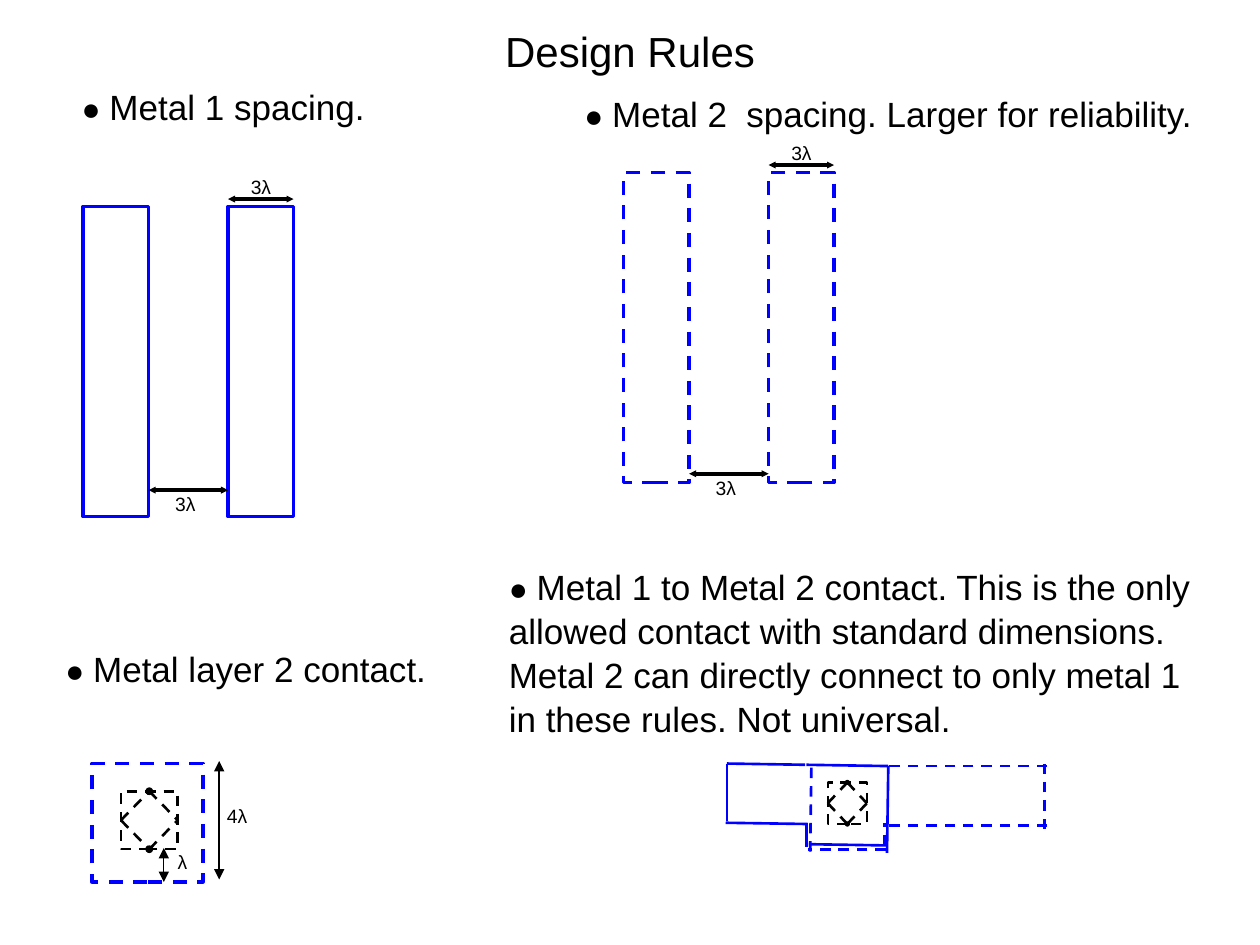
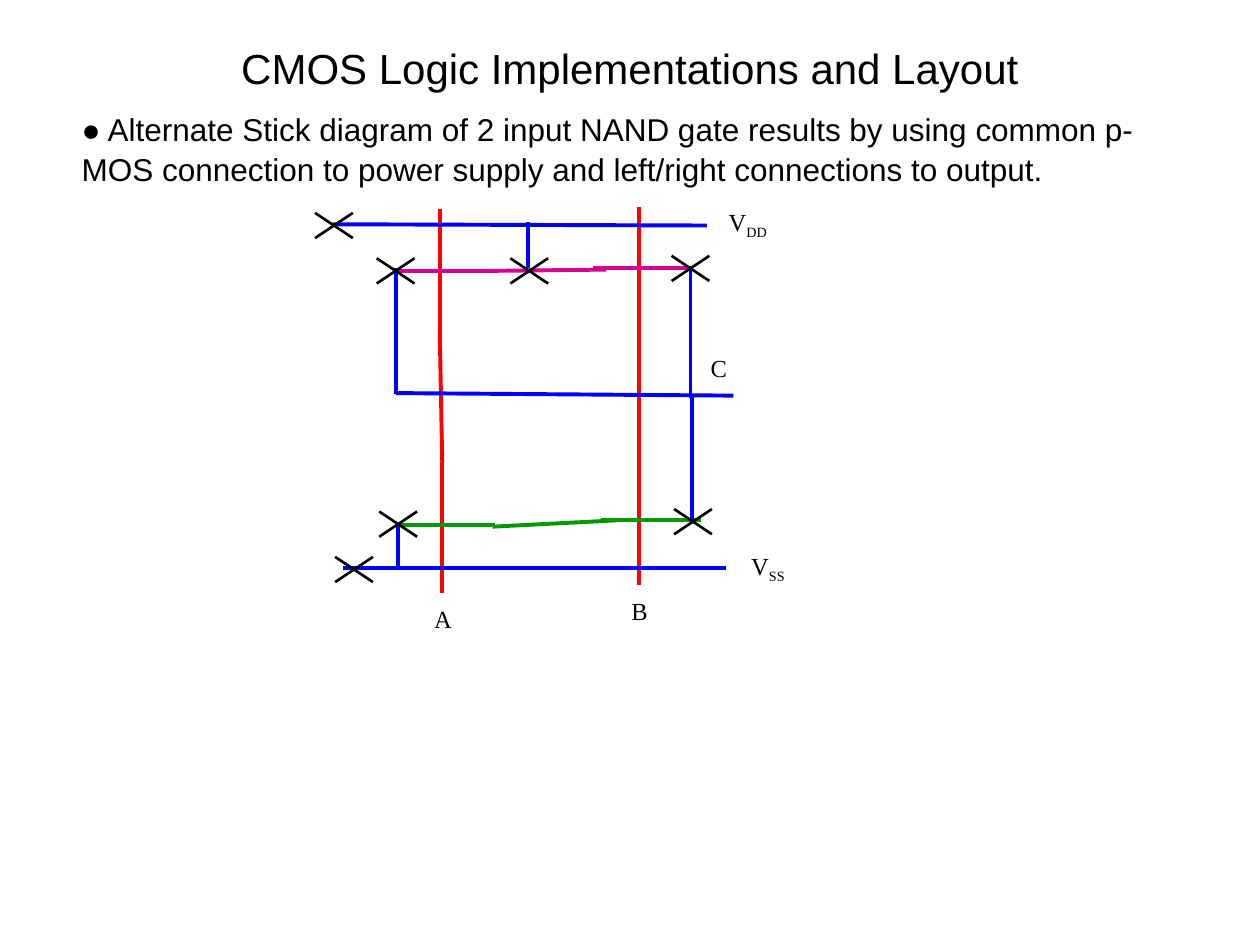
"""Build two slides on CMOS design rules and a NAND gate stick diagram."""
from dataclasses import dataclass, replace

from lxml import etree
from pptx import Presentation
from pptx import util as u
from pptx.dml.color import RGBColor
from pptx.enum import dml, shapes, text
from pptx.oxml import ns


@dataclass(frozen=True)
class Theme:
    black: str = "000000"
    white: str = "FFFFFF"
    metal: str = "0000FF"
    poly: str = "FF0000"
    p_diff: str = "D60093"
    n_diff: str = "009900"
    sans: str = "Arial"
    serif: str = "Times New Roman"
    title: int = 24
    body: int = 20
    small_body: int = 18
    bullet: int = 18
    node: int = 14
    dimension: int = 11
    line_spacing: float = 1.05


@dataclass(frozen=True)
class Box:
    x: float
    y: float
    w: float
    h: float


@dataclass(frozen=True)
class Pen:
    color: str
    width: float
    dash: bool = False
    head: str = ""


@dataclass(frozen=True)
class Wire:
    x1: float
    y1: float
    x2: float
    y2: float


@dataclass(frozen=True)
class Node:
    x: float
    y: float
    name: str
    sub: str = ""


T = Theme()
SPACING = Pen(T.black, 2, head="sm")
CUT = Pen(T.black, 1.5, dash=True)
CROSS = Pen(T.black, 1.5)
STICK = Pen(T.metal, 2.25)
METAL_1 = Pen(T.metal, 1.5)
METAL_2 = replace(METAL_1, dash=True)
STRIP = Pen(T.metal, 2)
DASHED_STRIP = replace(STRIP, dash=True)

METAL_1_EDGES = [
    Wire(7.04, 6.77, 7.05, 6.08), Wire(6.42, 6.7, 7.04, 6.71),
    Wire(7.05, 6.08, 6.4, 6.07), Wire(5.76, 6.53, 6.41, 6.54),
    Wire(6.4, 6.53, 6.4, 6.72), Wire(5.77, 6.06, 5.77, 6.52),
    Wire(5.77, 6.06, 6.39, 6.07),
]
METAL_2_EDGES = [
    Wire(7.02, 6.71, 7.02, 6.53), Wire(6.43, 6.76, 6.44, 6.06),
    Wire(7.03, 6.74, 6.41, 6.74), Wire(8.31, 6.55, 7.01, 6.55),
    Wire(8.31, 6.08, 7.01, 6.08), Wire(8.29, 6.58, 8.29, 6.06),
]
STICKS = {
    T.poly: [
        Wire(3.49, 1.66, 3.49, 2.69), Wire(3.51, 3.67, 3.49, 2.62),
        Wire(3.51, 3.67, 3.51, 4.71), Wire(5.07, 1.64, 5.07, 2.67),
        Wire(5.07, 2.62, 5.07, 3.61), Wire(5.07, 3.6, 5.07, 4.64),
    ],
    T.p_diff: [
        Wire(3.13, 2.15, 3.92, 2.15), Wire(3.88, 2.15, 4.81, 2.14),
        Wire(4.71, 2.13, 5.5, 2.13),
    ],
    T.n_diff: [
        Wire(3.14, 4.17, 3.93, 4.17), Wire(3.91, 4.18, 4.89, 4.13),
        Wire(4.77, 4.13, 5.56, 4.13),
    ],
    T.metal: [
        Wire(2.64, 1.78, 5.61, 1.79), Wire(2.72, 4.51, 5.76, 4.51),
        Wire(3.14, 3.12, 5.82, 3.14), Wire(3.16, 4.15, 3.16, 4.51),
        Wire(5.49, 4.13, 5.49, 3.14), Wire(4.19, 2.13, 4.19, 1.76),
        Wire(5.48, 2.13, 5.48, 3.16), Wire(3.14, 2.13, 3.14, 3.13),
    ],
}
CONTACTS = [
    (2.65, 1.79), (3.14, 2.15), (4.2, 2.15), (5.48, 2.13),
    (3.16, 4.16), (5.5, 4.14), (2.81, 4.52),
]
NODES = [
    Node(5.68, 1.64, "V", "DD"), Node(5.45, 2.8, "C"),
    Node(5.84, 4.37, "V", "SS"), Node(3.26, 4.79, "A"),
    Node(4.82, 4.73, "B"),
]


def place(sp, box: Box) -> None:
    """Move and size a shape."""
    sp.left, sp.top = u.Inches(box.x), u.Inches(box.y)
    sp.width, sp.height = u.Inches(box.w), u.Inches(box.h)


def add_run(p, content: str, size: float, font: str, sub: bool = False) -> None:
    """Append a formatted run."""
    r = p.add_run()
    r.text = content
    r.font.size, r.font.name = u.Pt(size), font
    r.font.color.rgb = RGBColor.from_string(T.black)
    if sub:
        r.font._element.set("baseline", "-25000")


def add_text(s, box: Box, content: str, *, size: float, font: str = T.sans,
             center: bool = False, inset: bool = False, bullet: bool = False,
             spacing: float = 1.0, sub: str = "", sp=None) -> None:
    """Write text in a new box or in a given placeholder."""
    sp = sp or s.shapes.add_textbox(0, 0, 0, 0)
    place(sp, box)
    tf = sp.text_frame
    tf.word_wrap = True
    tf.auto_size = text.MSO_AUTO_SIZE.NONE
    tf.vertical_anchor = text.MSO_ANCHOR.TOP
    tf.margin_left = tf.margin_right = u.Inches(0.1 if inset else 0)
    tf.margin_top = tf.margin_bottom = u.Inches(0.05 if inset else 0)
    p = tf.paragraphs[0]
    p.alignment = text.PP_ALIGN.CENTER if center else text.PP_ALIGN.LEFT
    p.line_spacing = spacing
    if bullet:
        add_run(p, "● ", T.bullet, font)
    add_run(p, content, size, font)
    if sub:
        add_run(p, sub, size, font, sub=True)


def add_title(s, content: str, y: float) -> None:
    """Format the title placeholder."""
    add_text(s, Box(0.36, y, 9.28, 0.5), content, size=T.title, center=True,
             inset=True, sp=s.shapes.title)


def add_point(s, box: Box, content: str, size: float = T.body) -> None:
    """Write a bulleted statement."""
    add_text(s, box, content, size=size, inset=True, bullet=True,
             spacing=T.line_spacing)


def add_dimension(s, x: float, y: float, content: str) -> None:
    """Write a dimension label."""
    add_text(s, Box(x, y, 0.25, 0.2), content, size=T.dimension)


def stroke(line, pen: Pen) -> None:
    """Apply a pen to a line."""
    line.color.rgb = RGBColor.from_string(pen.color)
    line.width = u.Pt(pen.width)
    if pen.dash:
        line.dash_style = dml.MSO_LINE.DASH


def add_shape(s, kind, box: Box, pen: Pen, fill: str = ""):
    """Draw an outlined shape."""
    sp = s.shapes.add_shape(kind, 0, 0, 0, 0)
    place(sp, box)
    sp.shadow.inherit = False
    if fill:
        sp.fill.solid()
        sp.fill.fore_color.rgb = RGBColor.from_string(fill)
    else:
        sp.fill.background()
    stroke(sp.line, pen)
    return sp


def add_wire(s, wire: Wire, pen: Pen):
    """Draw a straight connector, with both arrowheads if the pen has them."""
    ends = [u.Inches(v) for v in (wire.x1, wire.y1, wire.x2, wire.y2)]
    cx = s.shapes.add_connector(shapes.MSO_CONNECTOR.STRAIGHT, *ends)
    stroke(cx.line, pen)
    props = cx._element.spPr
    if pen.head:
        for end in ("a:headEnd", "a:tailEnd"):
            etree.SubElement(props.find(ns.qn("a:ln")), ns.qn(end),
                             type="triangle", w=pen.head, len=pen.head)
    etree.SubElement(props, ns.qn("a:effectLst"))
    return cx


def add_spacing_rule(s, x: float, y: float, gap_y: float, pen: Pen) -> None:
    """Draw two metal strips with their width and gap dimensions."""
    width, pitch = 0.52, 1.15
    for left in (x, x + pitch):
        add_shape(s, shapes.MSO_SHAPE.RECTANGLE, Box(left, y, width, 2.46),
                  pen, T.white)
    add_wire(s, Wire(x + pitch, y - 0.06, x + pitch + width, y - 0.06), SPACING)
    add_wire(s, Wire(x + width, gap_y, x + pitch, gap_y), SPACING)
    add_dimension(s, x + 1.33, y - 0.25, "3λ")
    add_dimension(s, x + 0.73, gap_y + 0.02, "3λ")


def add_cut(s, box: Box, dot: float) -> None:
    """Draw a contact cut: a square, its inner diamond and two dots."""
    square = add_shape(s, shapes.MSO_SHAPE.RECTANGLE, box, CUT)
    mid_x, mid_y = box.x + box.w / 2, box.y + box.h / 2
    sides = [(mid_x, box.y), (box.x, mid_y),
             (mid_x, box.y + box.h), (box.x + box.w, mid_y)]
    for start, end in ((1, 0), (0, 3), (2, 3), (1, 2)):
        cx = add_wire(s, Wire(*sides[start], *sides[end]), CUT)
        cx.begin_connect(square, start)
        cx.end_connect(square, end)
    for x, y in (sides[0], sides[2]):
        add_shape(s, shapes.MSO_SHAPE.OVAL,
                  Box(x - dot / 2, y - dot / 2, dot, dot), CROSS, T.black)


def add_cross(s, x: float, y: float) -> None:
    """Mark a contact with a cross."""
    for dy in (0.1, -0.1):
        add_wire(s, Wire(x - 0.15, y + dy, x + 0.15, y - dy), CROSS)


def build_design_rules(s) -> None:
    """Fill the design rules slide."""
    add_title(s, "Design Rules", 0.15)
    add_point(s, Box(0.55, 0.61, 3.31, 0.44), "Metal 1 spacing.")
    add_spacing_rule(s, 0.66, 1.64, 3.89, STRIP)
    add_spacing_rule(s, 4.95, 1.37, 3.76, DASHED_STRIP)
    add_point(s, Box(4.54, 0.67, 5.4, 0.44),
              "Metal 2  spacing. Larger for reliability.")

    add_cut(s, Box(0.96, 6.28, 0.45, 0.46), 0.04)
    add_shape(s, shapes.MSO_SHAPE.RECTANGLE, Box(0.73, 6.06, 0.88, 0.94),
              DASHED_STRIP)
    add_wire(s, Wire(1.74, 6.04, 1.74, 6.98), Pen(T.black, 1, head="med"))
    add_wire(s, Wire(1.3, 6.73, 1.3, 7), Pen(T.black, 0.75, head="med"))
    add_dimension(s, 1.8, 6.38, "4λ")
    add_dimension(s, 1.41, 6.75, "λ")
    add_point(s, Box(0.42, 5.07, 3.31, 0.44), "Metal layer 2 contact.")

    add_cut(s, Box(6.57, 6.21, 0.31, 0.33), 0.02)
    for pen, edges in ((METAL_1, METAL_1_EDGES), (METAL_2, METAL_2_EDGES)):
        for edge in edges:
            add_wire(s, edge, pen)
    add_point(s, Box(3.94, 4.42, 5.66, 1.44),
              "Metal 1 to Metal 2 contact. This is the only allowed contact "
              "with standard dimensions. Metal 2 can directly connect to only "
              "metal 1 in these rules. Not universal.")


def build_stick_diagram(s) -> None:
    """Fill the stick diagram slide."""
    add_title(s, "CMOS Logic Implementations and Layout", 0.29)
    add_point(s, Box(0.55, 0.81, 8.72, 0.7),
              "Alternate Stick diagram of 2 input NAND gate results by using "
              "common p-MOS connection to power supply and left/right "
              "connections to output.", T.small_body)
    for color, wires in STICKS.items():
        for wire in wires:
            add_wire(s, wire, replace(STICK, color=color))
    for x, y in CONTACTS:
        add_cross(s, x, y)
    for node in NODES:
        add_text(s, Box(node.x, node.y, 0.51, 0.27), node.name, size=T.node,
                 font=T.serif, center=True, sub=node.sub)


def main() -> None:
    """Build and save the deck."""
    prs = Presentation()
    prs.slide_width, prs.slide_height = u.Inches(10), u.Inches(7.5)
    title_only = prs.slide_layouts.get_by_name("Title Only")
    for build in (build_design_rules, build_stick_diagram):
        build(prs.slides.add_slide(title_only))
    prs.save("out.pptx")


if __name__ == "__main__":
    main()
